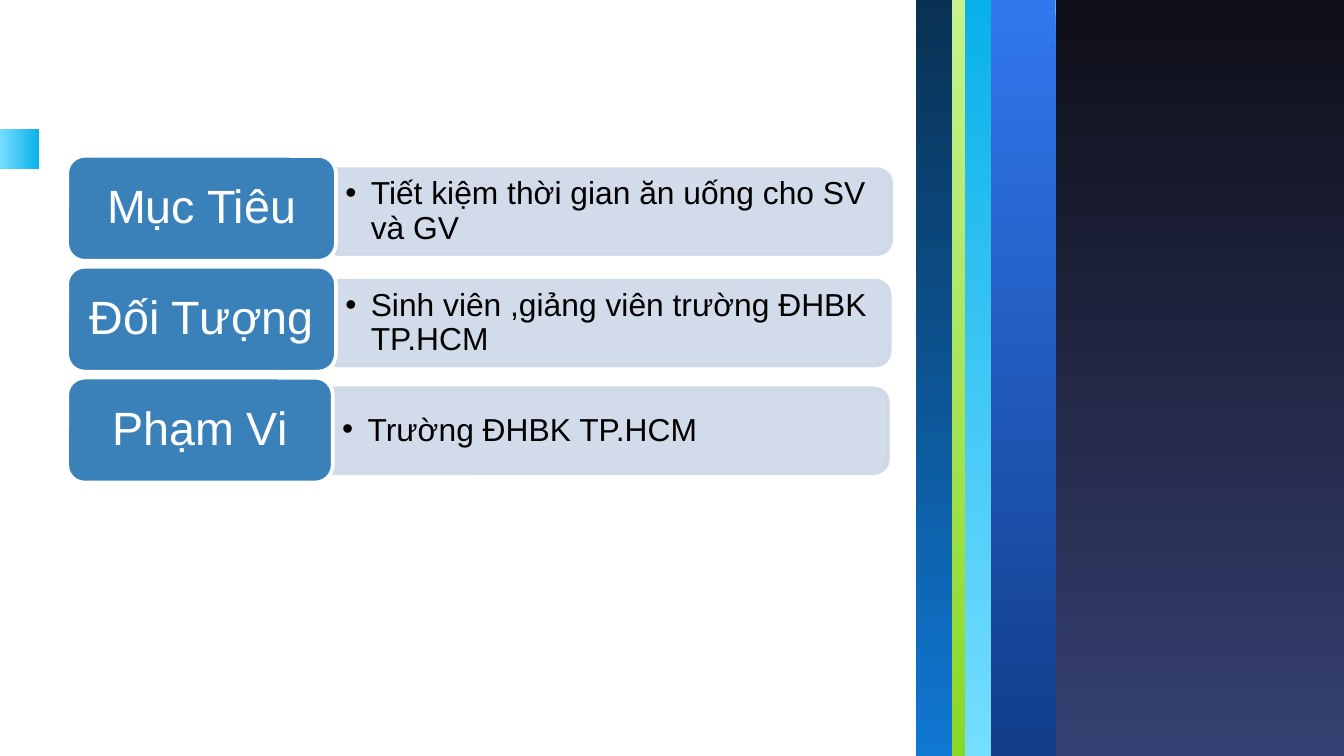
import itertools

import pptx
import pptx.dml.color
import pptx.enum.shapes
import pptx.enum.text
import pptx.oxml.ns
import pptx.util
from lxml import etree

Pt = pptx.util.Pt
SHAPES = pptx.enum.shapes.MSO_SHAPE
ALIGN = pptx.enum.text.PP_ALIGN
qn = pptx.oxml.ns.qn

COLORS = {
    "white": "FFFFFF", "black": "000000",
    "label": "3A81BA", "panel": "CED8E7",
    "sky": "09B1E9", "sky_light": "75DDFF",
    "navy": "093153", "azure": "1077D2",
    "lime_light": "C6F18D", "lime": "8AD824",
    "blue": "3177EE", "blue_deep": "113D8A",
    "night": "0E0F18", "indigo": "364072",
}
SLIDE_WIDTH, SLIDE_HEIGHT = 720, 405

# Band edges from left to right, and top and bottom colours of each band
BAND_EDGES = [490.5, 510, 517, 531, 565.5, SLIDE_WIDTH]
BAND_COLORS = [("navy", "azure"), ("lime_light", "lime"), ("sky", "sky_light"),
               ("blue", "blue_deep"), ("night", "indigo")]

# Label, detail, label width, panel top, panel width
ROWS = [
    ("Mục Tiêu", "Tiết kiệm thời gian ăn uống cho SV và GV", 144, 90.7, 297.4),
    ("Đối Tượng", "Sinh viên ,giảng viên trường ĐHBK TP.HCM", 144, 150.4, 296.6),
    ("Phạm Vi", "Trường ĐHBK TP.HCM", 142.3, 208.1, 297.4),
]
LABEL_LEFT, LABEL_TOP, LABEL_HEIGHT, ROW_PITCH = 36, 83.5, 56.2, 59.4
PANEL_HEIGHT, DETAIL_HEIGHT = 45.4, 41


def rgb(name):
    return pptx.dml.color.RGBColor.from_string(COLORS[name])


def add_block(slide, preset, left, top, width, height):
    block = slide.shapes.add_shape(preset, Pt(left), Pt(top), Pt(width), Pt(height))
    block.shadow.inherit = False
    return block


def add_gradient_bar(slide, left, top, width, height, colors, angle):
    bar = add_block(slide, SHAPES.RECTANGLE, left, top, width, height)
    bar.line.fill.background()
    bar.fill.gradient()
    bar.fill.gradient_angle = angle
    for stop, color in zip(bar.fill.gradient_stops, colors):
        stop.color.rgb = rgb(color)


def paint(block, fill, line):
    block.fill.solid()
    block.fill.fore_color.rgb = rgb(fill)
    block.line.color.rgb = rgb(line)
    block.line.width = Pt(2)


def write(shape, text, size, color, align, inset_x, inset_y):
    frame = shape.text_frame
    frame.word_wrap = True
    frame.vertical_anchor = pptx.enum.text.MSO_ANCHOR.MIDDLE
    frame.margin_left = frame.margin_right = Pt(inset_x)
    frame.margin_top = frame.margin_bottom = Pt(inset_y)
    frame.text = text
    paragraph = frame.paragraphs[0]
    paragraph.alignment = align
    paragraph.line_spacing = 0.9
    font = paragraph.runs[0].font
    font.name, font.size = "Arial", Pt(size)
    font.color.rgb = rgb(color)
    return paragraph


def add_bullet(paragraph, indent):
    properties = paragraph._p.get_or_add_pPr()
    properties.set("marL", str(Pt(indent)))
    properties.set("indent", str(-Pt(indent)))
    bullet_color = etree.SubElement(properties, qn("a:buClr"))
    etree.SubElement(bullet_color, qn("a:srgbClr"), val=COLORS["black"])
    etree.SubElement(properties, qn("a:buFont"), typeface="Arial")
    etree.SubElement(properties, qn("a:buChar"), char="•")


def add_panel(slide, left, top, width):
    # Turned a quarter so that the two rounded corners face right
    panel = add_block(slide, SHAPES.ROUND_2_SAME_RECTANGLE,
                      left + (width - PANEL_HEIGHT) / 2,
                      top + (PANEL_HEIGHT - width) / 2, PANEL_HEIGHT, width)
    panel.rotation = 90
    paint(panel, "panel", "panel")
    for color in panel._element.spPr.iter(qn("a:srgbClr")):
        etree.SubElement(color, qn("a:alpha"), val="90000")


def add_detail(slide, text, left, top, width):
    detail = slide.shapes.add_textbox(Pt(left), Pt(top), Pt(width), Pt(DETAIL_HEIGHT))
    add_bullet(write(detail, text, 17, "black", ALIGN.LEFT, 5, 2.9), 13.7)


def add_label(slide, text, top, width):
    label = add_block(slide, SHAPES.ROUNDED_RECTANGLE, LABEL_LEFT, top, width, LABEL_HEIGHT)
    paint(label, "label", "white")
    write(label, text, 25, "white", ALIGN.CENTER, 7.2, 3.6)


def main():
    deck = pptx.Presentation()
    deck.slide_width, deck.slide_height = Pt(SLIDE_WIDTH), Pt(SLIDE_HEIGHT)
    slide = deck.slides.add_slide(deck.slide_layouts[6])

    # Left marker and the vertical bands on the right
    add_gradient_bar(slide, 0, 69.1, 21, 21.4, ("sky_light", "sky"), 0)
    for (left, right), colors in zip(itertools.pairwise(BAND_EDGES), BAND_COLORS):
        add_gradient_bar(slide, left, 0, right - left, SLIDE_HEIGHT, colors, 270)

    # Rows: detail panel behind, label in front
    for index, (label, detail, label_width, panel_top, panel_width) in enumerate(ROWS):
        panel_left = LABEL_LEFT + label_width
        add_panel(slide, panel_left, panel_top, panel_width)
        add_detail(slide, detail, panel_left,
                   panel_top + (PANEL_HEIGHT - DETAIL_HEIGHT) / 2, panel_width - 2.2)
        add_label(slide, label, LABEL_TOP + index * ROW_PITCH, label_width)

    deck.save("out.pptx")


if __name__ == "__main__":
    main()
